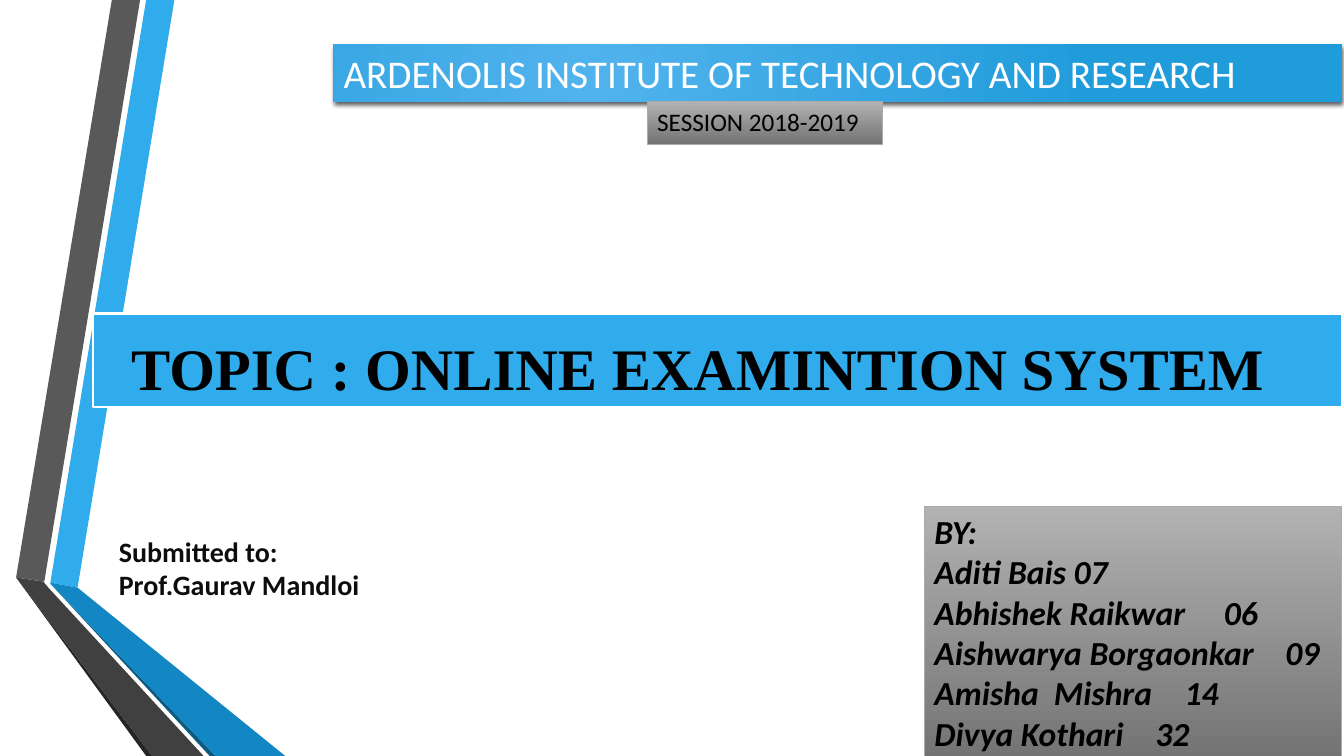
from lxml import etree
from pptx import Presentation
from pptx.dml.color import RGBColor
from pptx.enum.shapes import MSO_SHAPE as SHAPE
from pptx.enum.text import MSO_ANCHOR as ANCHOR, PP_ALIGN as ALIGN
from pptx.oxml.ns import qn
from pptx.util import Inches, Pt

BLUE = "30ACEC"
GRAYS = ("B2B2B2", "737373")

# Ribbon pieces of the left decoration, back to front: fill and corners
RIBBONS = [
    (BLUE, [(0.5, 5.78), (0.77, 5.83), (1.73, 0), (1.45, 0)]),
    ("595959", [(1.39, 0), (1.11, 0), (0.16, 5.73), (0.44, 5.77)]),
    ("262626", [(0.16, 5.73), (1.45, 7.5), (1.51, 7.5)]),
    ("0C5A82", [(0.5, 5.79), (2.08, 7.5), (2.14, 7.5)]),
    ("1287C3", [(0.5, 5.79), (2.14, 7.5), (2.83, 7.5), (0.77, 5.83), (0.5, 5.78)]),
    ("404040", [(2.02, 7.5), (0.48, 5.83), (0.43, 5.77), (0.16, 5.73), (1.51, 7.5)]),
]

# Line of the team list and the tab stop of its number
TEAM = [
    ("BY:", None),
    ("Aditi Bais 07", None),
    ("Abhishek Raikwar\t06", 2.87),
    ("Aishwarya Borgaonkar\t09", 3.48),
    ("Amisha  Mishra\t14", 2.48),
    ("Divya Kothari\t32", 2.19),
]


def rgb(value):
    return RGBColor.from_string(value)


def add_ribbon(slide, color, points):
    corners = [(Inches(x), Inches(y)) for x, y in points]
    builder = slide.shapes.build_freeform(*corners[0])
    builder.add_line_segments(corners[1:], close=True)
    sp = builder.convert_to_shape()
    sp.shadow.inherit = False
    sp.fill.solid()
    sp.fill.fore_color.rgb = rgb(color)
    sp.line.fill.background()


def add_box(slide, box, fill, line=None, width=0.75):
    """Rectangle with one solid colour or a vertical two-colour gradient."""
    sp = slide.shapes.add_shape(SHAPE.RECTANGLE, *map(Inches, box))
    sp.shadow.inherit = False
    if isinstance(fill, str):
        sp.fill.solid()
        sp.fill.fore_color.rgb = rgb(fill)
    else:
        sp.fill.gradient()
        sp.fill.gradient_angle = 270
        for stop, color, position in zip(sp.fill.gradient_stops, fill, (0, 1)):
            stop.color.rgb = rgb(color)
            stop.position = position
    if line:
        sp.line.color.rgb = rgb(line)
        sp.line.width = Pt(width)
    else:
        sp.line.fill.background()
    return sp


def make_radial(sp, **focus):
    lin = sp._element.spPr.find(".//" + qn("a:lin"))
    radial = etree.Element(qn("a:path"), path="circle")
    etree.SubElement(radial, qn("a:fillToRect"), **focus)
    lin.getparent().replace(lin, radial)


def add_shadow(sp, blur, distance, alpha):
    effects = sp._element.spPr.find(qn("a:effectLst"))
    shadow = etree.SubElement(effects, qn("a:outerShdw"), blurRad=str(Pt(blur)),
                              dist=str(Pt(distance)), dir="5400000", rotWithShape="0")
    color = etree.SubElement(shadow, qn("a:srgbClr"), val="000000")
    etree.SubElement(color, qn("a:alpha"), val=str(alpha * 1000))


def set_text(sp, lines, size, color, font="Calibri", bold=False, italic=False,
             anchor=ANCHOR.TOP):
    tf = sp.text_frame
    tf.word_wrap = True
    tf.vertical_anchor = anchor
    for i, line in enumerate(lines):
        p = tf.paragraphs[0] if i == 0 else tf.add_paragraph()
        p.text = line
        p.alignment = ALIGN.LEFT
        p.font.name, p.font.size = font, Pt(size)
        p.font.bold, p.font.italic = bold, italic
        p.font.color.rgb = rgb(color)
    return tf


def set_tab(p, position):
    pPr = p._p.get_or_add_pPr()
    tabs = etree.Element(qn("a:tabLst"))
    etree.SubElement(tabs, qn("a:tab"), pos=str(Inches(position)), algn="l")
    pPr.find(qn("a:defRPr")).addprevious(tabs)


def main():
    prs = Presentation()
    prs.slide_width, prs.slide_height = Inches(13.33), Inches(7.5)
    slide = prs.slides.add_slide(prs.slide_layouts[6])

    # Decoration
    for color, points in RIBBONS:
        add_ribbon(slide, color, points)

    # Topic
    topic = add_box(slide, (0.92, 3.11, 12.39, 0.93), BLUE, "FFFFFF", 1.75)
    tf = set_text(topic, ["TOPIC : ONLINE EXAMINTION SYSTEM"], 42, "000000",
                  "Times New Roman", bold=True, anchor=ANCHOR.BOTTOM)
    tf.margin_left = Inches(0.38)
    tf.paragraphs[0].line_spacing = 0.85

    # Institute and session
    institute = add_box(slide, (3.31, 0.44, 10, 0.57), ("51B3ED", "219CDB"))
    make_radial(institute, l="50000", t="100000", r="100000", b="50000")
    add_shadow(institute, blur=3, distance=2, alpha=64)
    set_text(institute, ["ARDENOLIS INSTITUTE OF TECHNOLOGY AND RESEARCH"], 28, "FFFFFF")
    session = add_box(slide, (6.42, 1.01, 2.33, 0.42), GRAYS, "ABABAB")
    set_text(session, ["SESSION 2018-2019"], 18, "000000")

    # Team
    team = add_box(slide, (9.17, 5.02, 4.14, 2.52), GRAYS, "ABABAB")
    tf = set_text(team, [line for line, _ in TEAM], 24, "000000", bold=True, italic=True)
    for p, (_, tab) in zip(tf.paragraphs, TEAM):
        if tab:
            set_tab(p, tab)

    # Teacher
    teacher = slide.shapes.add_textbox(*map(Inches, (1.08, 5.25, 4.08, 0.77)))
    set_text(teacher, ["Submitted to:", "Prof.Gaurav Mandloi"], 20, "0D0D0D", bold=True)

    prs.save("out.pptx")


if __name__ == "__main__":
    main()
